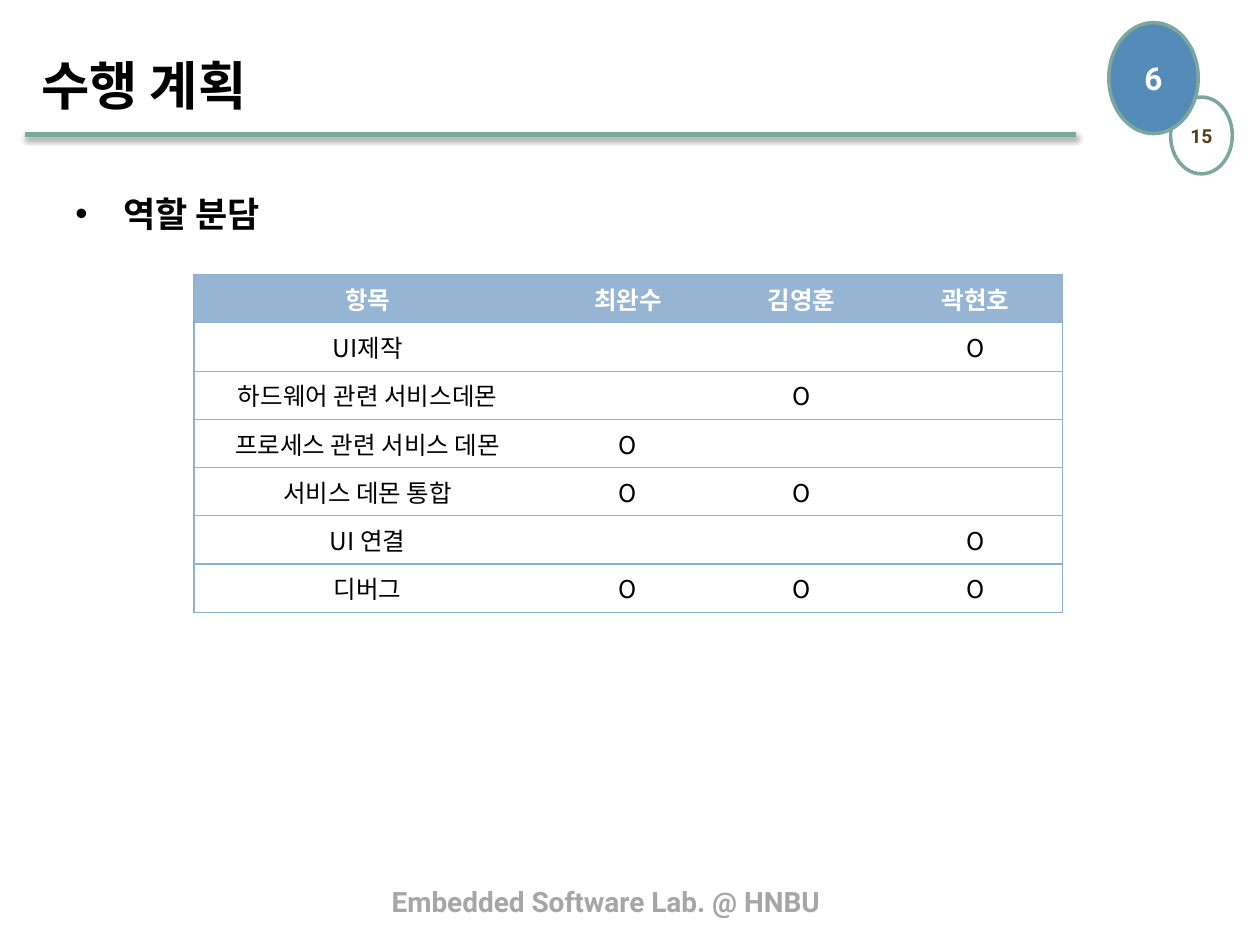
from lxml.etree import SubElement
from pptx import Presentation
from pptx.dml.color import RGBColor
from pptx.enum.shapes import MSO_CONNECTOR, MSO_SHAPE
from pptx.enum.text import MSO_ANCHOR, MSO_AUTO_SIZE, PP_ALIGN
from pptx.oxml.ns import qn
from pptx.util import Inches, Pt

WHITE = RGBColor(0xFF, 0xFF, 0xFF)
BLACK = RGBColor(0, 0, 0)
GREEN = RGBColor(0x7B, 0xA7, 0x9D)
BLUE = RGBColor(0x55, 0x8B, 0xB8)
HEAD = RGBColor(0x95, 0xB5, 0xD3)
EDGE = RGBColor(0x8F, 0xB2, 0xCF)
BROWN = RGBColor(0x51, 0x3E, 0x1B)
GRAY = RGBColor(0xA6, 0xA6, 0xA6)
LATIN, HANGUL = "Roboto", "Noto Sans CJK KR"

PEOPLE = ["최완수", "김영훈", "곽현호"]
TASKS = [
    ("UI제작", ["곽현호"]),
    ("하드웨어 관련 서비스데몬", ["김영훈"]),
    ("프로세스 관련 서비스 데몬", ["최완수"]),
    ("서비스 데몬 통합", ["최완수", "김영훈"]),
    ("UI 연결", ["곽현호"]),
    ("디버그", PEOPLE),
]


def add(parent, tag, **attrs):
    return SubElement(parent, qn(tag), {k: str(v) for k, v in attrs.items()})


def write(para, text, size, color, bold=True, name=LATIN):
    run = para.add_run()
    run.text = text
    style = {"size": Pt(size), "bold": bold, "name": name}
    for key, value in style.items():
        setattr(run.font, key, value)
    run.font.color.rgb = color
    add(run.font._element, "a:ea", typeface=HANGUL)


def text_box(slide, box, text, size, color, **frame):
    body = slide.shapes.add_textbox(*map(Inches, box)).text_frame
    for key, value in {"word_wrap": True, **frame}.items():
        setattr(body, key, value)
    para = body.paragraphs[0]
    write(para, text, size, color)
    return para


def badge(slide, box, text, size, fill, color):
    oval = slide.shapes.add_shape(MSO_SHAPE.OVAL, *map(Inches, box))
    oval.shadow.inherit = False
    oval.fill.solid()
    oval.fill.fore_color.rgb = fill
    oval.line.color.rgb = GREEN
    oval.line.width = Pt(2)
    body = oval.text_frame
    for side in ("left", "top", "right", "bottom"):
        setattr(body, f"margin_{side}", Inches(0.04))
    body.vertical_anchor = MSO_ANCHOR.MIDDLE
    body.paragraphs[0].alignment = PP_ALIGN.CENTER
    write(body.paragraphs[0], text, size, color)


def rule(slide, left, top, width):
    """Draw the line under the title, with its soft shadow."""
    line = slide.shapes.add_connector(
        MSO_CONNECTOR.STRAIGHT,
        *map(Inches, (left, top, left + width, top)))
    line.line.color.rgb = GREEN
    line.line.width = Pt(3)
    effects = add(line._element.spPr, "a:effectLst")
    shade = add(effects, "a:outerShdw", blurRad=Pt(3.1), dist=Pt(1.8),
                dir=90 * 60000, rotWithShape=0)
    color = add(shade, "a:srgbClr", val=BLACK)
    add(color, "a:alpha", val=35000)


def bullet(slide, box, text):
    para = text_box(slide, box, text, 20, BLACK)
    props = para._p.get_or_add_pPr()
    props.set("marL", str(Inches(0.38)))
    props.set("indent", str(-Inches(0.38)))
    para.space_before = Pt(4)
    add(props, "a:buFont", typeface="Arial")
    add(props, "a:buChar", char="•")


def border(cell, sides):
    """Rule the given sides of a cell and clear the others."""
    props = cell._tc.get_or_add_tcPr()
    for side in "LRTB":
        line = add(props, f"a:ln{side}", w=Pt(0.75))
        if side in sides:
            add(add(line, "a:solidFill"), "a:srgbClr", val=EDGE)
        else:
            add(line, "a:noFill")


def role_table(slide, left, top, width, height):
    rows = [["항목", *PEOPLE]]
    rows += [[task, *("O" if who in team else "" for who in PEOPLE)]
             for task, team in TASKS]
    table = slide.shapes.add_table(
        len(rows), len(rows[0]),
        *map(Inches, (left, top, width, height))).table
    table.horz_banding = False
    unit = width / (len(PEOPLE) + 2)
    for col, column in enumerate(table.columns):
        column.width = Inches(unit if col else 2 * unit)
    for row, texts in enumerate(rows):
        table.rows[row].height = Inches(height / len(rows))
        for col, text in enumerate(texts):
            cell = table.cell(row, col)
            ends = {0: "L", len(PEOPLE): "R"}
            border(cell, "TB" + ends.get(col, ""))
            cell.fill.solid()
            cell.fill.fore_color.rgb = WHITE if row else HEAD
            para = cell.text_frame.paragraphs[0]
            para.alignment = PP_ALIGN.CENTER
            if text:
                write(para, text, 14, BLACK if row else WHITE,
                      row == 0, HANGUL)
            else:
                para.font.size = Pt(14)


def header(slide, left, top, width, height):
    rule(slide, left, top + 0.89, 8.34)
    badge(slide, (left + width - 0.71, top + 0.59, 0.49, 0.61),
          "15", 11, WHITE, BROWN)
    badge(slide, (left + width - 1.2, top, 0.71, 0.88),
          "6", 18, BLUE, WHITE)
    text_box(slide, (left + 0.03, top + 0.03, 8.2, height), "수행 계획",
             30, BLACK, vertical_anchor=MSO_ANCHOR.MIDDLE)


def footer(slide, box):
    para = text_box(slide, box, "Embedded Software Lab. @ HNBU", 16, GRAY,
                    word_wrap=False,
                    auto_size=MSO_AUTO_SIZE.SHAPE_TO_FIT_TEXT)
    para.line_spacing = 0.87


def main():
    deck = Presentation()
    deck.slide_width, deck.slide_height = Inches(10), Inches(7.5)
    slide = deck.slides.add_slide(deck.slide_layouts[6])
    footer(slide, (3.01, 7.01, 3.98, 0.34))
    header(slide, 0.2, 0.18, 9.8, 0.92)
    role_table(slide, 1.54, 2.18, 6.89, 2.68)
    bullet(slide, (0.5, 1.48, 9, 5.31), "역할 분담")
    deck.save("out.pptx")


if __name__ == "__main__":
    main()
